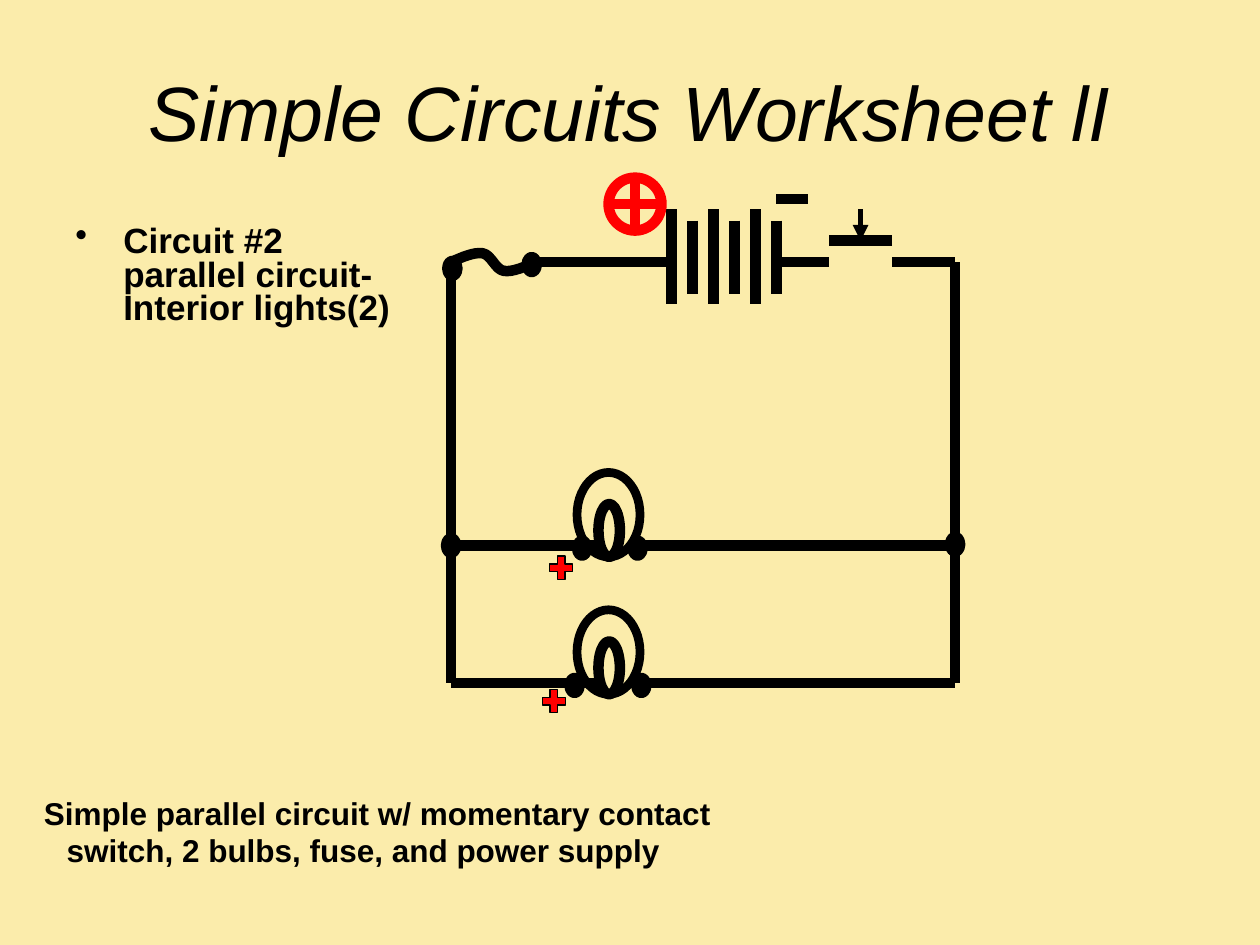
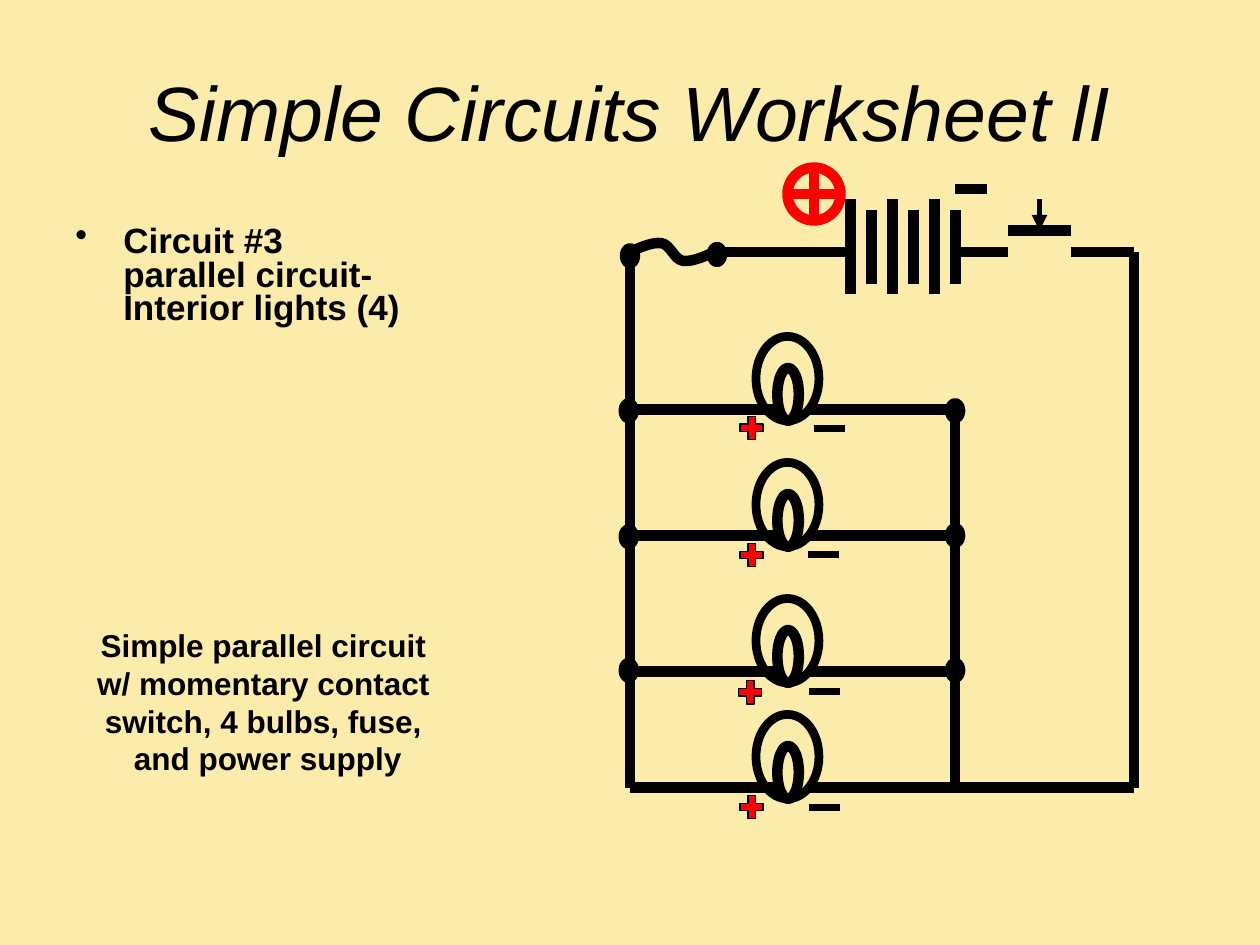
import pptx
import pptx.dml.color
import pptx.enum.shapes
import pptx.enum.text
import pptx.oxml
import pptx.oxml.ns
import pptx.util
from dataclasses import dataclass
from pptx.util import Inches

TITLE = "Simple Circuits Worksheet lI"

CIRCUITS = [
    {
        "heading": "Circuit #2\nparallel circuit-Interior lights(2)",
        "heading_box": (0.5, 1.75, 2.75, 1.17),
        "caption": ["Simple parallel circuit w/ momentary contact ",
                    "switch, 2 bulbs, fuse, and power supply \t"],
        "caption_box": (0.25, 6.25, 5.56, 0.7),
        "caption_wrap": False,
        "corner": (3.58, 2.08),
        "inner_rail": None,
        "branches": [
            {"level": 4.33, "end": 7.58, "plus": (4.33, 4.38)},
            {"level": 5.42, "end": 7.58, "plus": (4.27, 5.44)},
        ],
        "joints": [(3.55, 2.07), (4.18, 2.04), (4.58, 4.29), (5.02, 4.29),
                   (7.54, 4.26), (3.54, 4.27), (4.52, 5.38), (5.05, 5.38)],
    },
    {
        "heading": "Circuit #3\nparallel circuit- Interior lights (4)",
        "heading_box": (0.5, 1.75, 3.25, 1),
        "caption": ["Simple parallel circuit \nw/ momentary contact ",
                    "switch, 4 bulbs, fuse, \nand power supply"],
        "caption_box": (0.5, 4.92, 3.25, 1.3),
        "caption_wrap": True,
        "corner": (5, 2),
        "inner_rail": 7.58,
        "branches": [
            {"level": 3.25, "end": 7.58, "plus": (5.84, 3.27), "minus": (6.46, 3.4)},
            {"level": 4.25, "end": 7.58, "plus": (5.84, 4.28), "minus": (6.41, 4.4)},
            {"level": 5.33, "end": 7.58, "plus": (5.83, 5.37), "minus": (6.42, 5.49)},
            {"level": 6.25, "end": 9, "plus": (5.84, 6.28), "minus": (6.42, 6.41)},
        ],
        "joints": [(5.65, 1.96), (4.96, 1.97), (4.95, 3.2), (4.95, 4.2),
                   (7.54, 5.26), (7.54, 3.2), (7.54, 4.19), (4.95, 5.26)],
    },
]

FUSE_CURVE = [(0, 0), (0.09, -0.04), (0.18, -0.08), (0.25, -0.07), (0.32, -0.06),
              (0.35, 0.06), (0.42, 0.07), (0.49, 0.08), (0.58, 0.04), (0.67, 0)]
TOP_WIRES = [(0.67, 1.75), (2.58, 3), (3.5, 4)]
PLATE_COUNT = 6
CIRCUIT_WIDTH = 4


@dataclass
class Theme:
    font: str = "Arial"
    paper: str = "FBECAB"
    ink: str = "000000"
    positive: str = "FF0000"
    title_size: int = 44
    heading_size: int = 20
    caption_size: int = 18
    wire: int = 6
    globe: int = 5
    mark: int = 4
    arrow: int = 3


THEME = Theme()
SHAPES = pptx.enum.shapes.MSO_SHAPE
ANCHOR = pptx.enum.text.MSO_ANCHOR
ALIGN = pptx.enum.text.PP_ALIGN


def color(code):
    return pptx.dml.color.RGBColor.from_string(code)


def add_element(parent, tag, **attributes):
    element = pptx.oxml.parse_xml(f"<a:{tag} {pptx.oxml.ns.nsdecls('a')}/>")
    for name, value in attributes.items():
        element.set(name, value)
    parent.append(element)


def add_text(page, paragraphs, place, size, bold=False, italic=False, align=None,
             anchor=ANCHOR.TOP, wrap=True, spacing=None, bullet=None):
    box = page.shapes.add_textbox(*map(Inches, place))
    frame = box.text_frame
    frame.word_wrap = wrap
    frame.vertical_anchor = anchor
    for index, text in enumerate(paragraphs):
        para = frame.add_paragraph() if index else frame.paragraphs[0]
        para.alignment = align
        if spacing:
            para.line_spacing = spacing
        if bullet:
            properties = para._p.get_or_add_pPr()
            properties.set("marL", str(Inches(0.38)))
            properties.set("indent", str(-Inches(0.38)))
            add_element(properties, "buChar", char=bullet)
        for number, line in enumerate(text.split("\n")):
            if number:
                para.add_line_break()
            span = para.add_run()
            span.text = line
            span.font.name = THEME.font
            span.font.size = pptx.util.Pt(size)
            span.font.bold = bold
            span.font.italic = italic
            span.font.color.rgb = color(THEME.ink)


def add_wire(page, start, end, width=THEME.wire, arrow=False):
    wire = page.shapes.add_connector(pptx.enum.shapes.MSO_CONNECTOR.STRAIGHT,
                                     *map(Inches, (*start, *end)))
    wire.line.color.rgb = color(THEME.ink)
    wire.line.width = pptx.util.Pt(width)
    if arrow:
        add_element(wire.line._get_or_add_ln(), "tailEnd", type="triangle")
    add_element(wire._element.spPr, "effectLst")


def style_shape(shape, line, width, fill=None):
    shape.shadow.inherit = False
    shape.line.color.rgb = color(line)
    shape.line.width = pptx.util.Pt(width)
    if fill:
        shape.fill.solid()
        shape.fill.fore_color.rgb = color(fill)
    else:
        shape.fill.background()


def add_symbol(page, kind, place, line=THEME.ink, width=THEME.wire, fill=None):
    symbol = page.shapes.add_shape(kind, *map(Inches, place))
    style_shape(symbol, line, width, fill)


def curve_points(controls, steps=8):
    points = [controls[0]]
    for first in range(0, len(controls) - 1, 3):
        a, b, c, d = controls[first:first + 4]
        for step in range(1, steps + 1):
            t = step / steps
            u = 1 - t
            points.append(tuple(
                u ** 3 * a[i] + 3 * u * u * t * b[i] + 3 * u * t * t * c[i] + t ** 3 * d[i]
                for i in range(2)))
    return points


def add_fuse(page, left, top):
    points = [(Inches(left + x), Inches(top + y)) for x, y in curve_points(FUSE_CURVE)]
    builder = page.shapes.build_freeform(*points[0])
    builder.add_line_segments(points[1:], close=False)
    style_shape(builder.convert_to_shape(), THEME.ink, THEME.wire)


def add_supply(page, left, top):
    for start, end in TOP_WIRES:
        add_wire(page, (left + start, top), (left + end, top))
    for index in range(PLATE_COUNT):
        x = left + 1.75 + index / 6
        above, below = (0.33, 0.25) if index % 2 else (0.42, 0.33)
        add_wire(page, (x, top - above), (x, top + below))
    add_symbol(page, SHAPES.FLOWCHART_OR, (left + 1.25, top - 0.67, 0.42, 0.42),
               line=THEME.positive)
    add_wire(page, (left + 2.58, top - 0.5), (left + 2.83, top - 0.5))


def add_switch(page, left, top):
    add_wire(page, (left + 3.5, top - 0.17), (left + 3, top - 0.17))
    add_wire(page, (left + 3.25, top - 0.42), (left + 3.25, top - 0.17),
             width=THEME.arrow, arrow=True)


def add_branch(page, left, branch):
    level = branch["level"]
    add_wire(page, (left, level), (left + 1.17, level))
    add_wire(page, (left + 1.42, level), (branch["end"], level))
    add_symbol(page, SHAPES.OVAL, (left + 1, level - 0.58, 0.5, 0.67), width=THEME.globe)
    add_symbol(page, SHAPES.OVAL, (left + 1.17, level - 0.33, 0.17, 0.42))
    add_symbol(page, SHAPES.MATH_PLUS, (*branch["plus"], 0.25, 0.25),
               width=0, fill=THEME.positive)
    if "minus" in branch:
        x, y = branch["minus"]
        add_wire(page, (x, y), (x + 0.25, y), width=THEME.mark)


def add_circuit(page, circuit):
    left, top = circuit["corner"]
    branches = circuit["branches"]
    bottom = branches[-1]["level"]
    add_supply(page, left, top)
    add_switch(page, left, top)
    add_fuse(page, left, top)
    for x in (left, left + CIRCUIT_WIDTH):
        add_wire(page, (x, top), (x, bottom))
    if circuit["inner_rail"]:
        rail = circuit["inner_rail"]
        add_wire(page, (rail, branches[0]["level"]), (rail, bottom))
    for branch in branches:
        add_branch(page, left, branch)
    for joint in circuit["joints"]:
        add_symbol(page, SHAPES.FLOWCHART_CONNECTOR, (*joint, 0.08, 0.12))


def add_page(deck, circuit):
    page = deck.slides.add_slide(deck.slide_layouts[6])
    page.background.fill.solid()
    page.background.fill.fore_color.rgb = color(THEME.paper)
    add_text(page, [TITLE], (0.5, 0.25, 9, 1.25), THEME.title_size, italic=True,
             align=ALIGN.CENTER, anchor=ANCHOR.MIDDLE)
    add_text(page, [circuit["heading"]], circuit["heading_box"], THEME.heading_size,
             bold=True, spacing=0.8, bullet="•")
    add_text(page, circuit["caption"], circuit["caption_box"], THEME.caption_size,
             bold=True, align=ALIGN.CENTER, wrap=circuit["caption_wrap"])
    add_circuit(page, circuit)


def main():
    deck = pptx.Presentation()
    deck.slide_width = Inches(10)
    deck.slide_height = Inches(7.5)
    for circuit in CIRCUITS:
        add_page(deck, circuit)
    deck.save("out.pptx")


if __name__ == "__main__":
    main()
